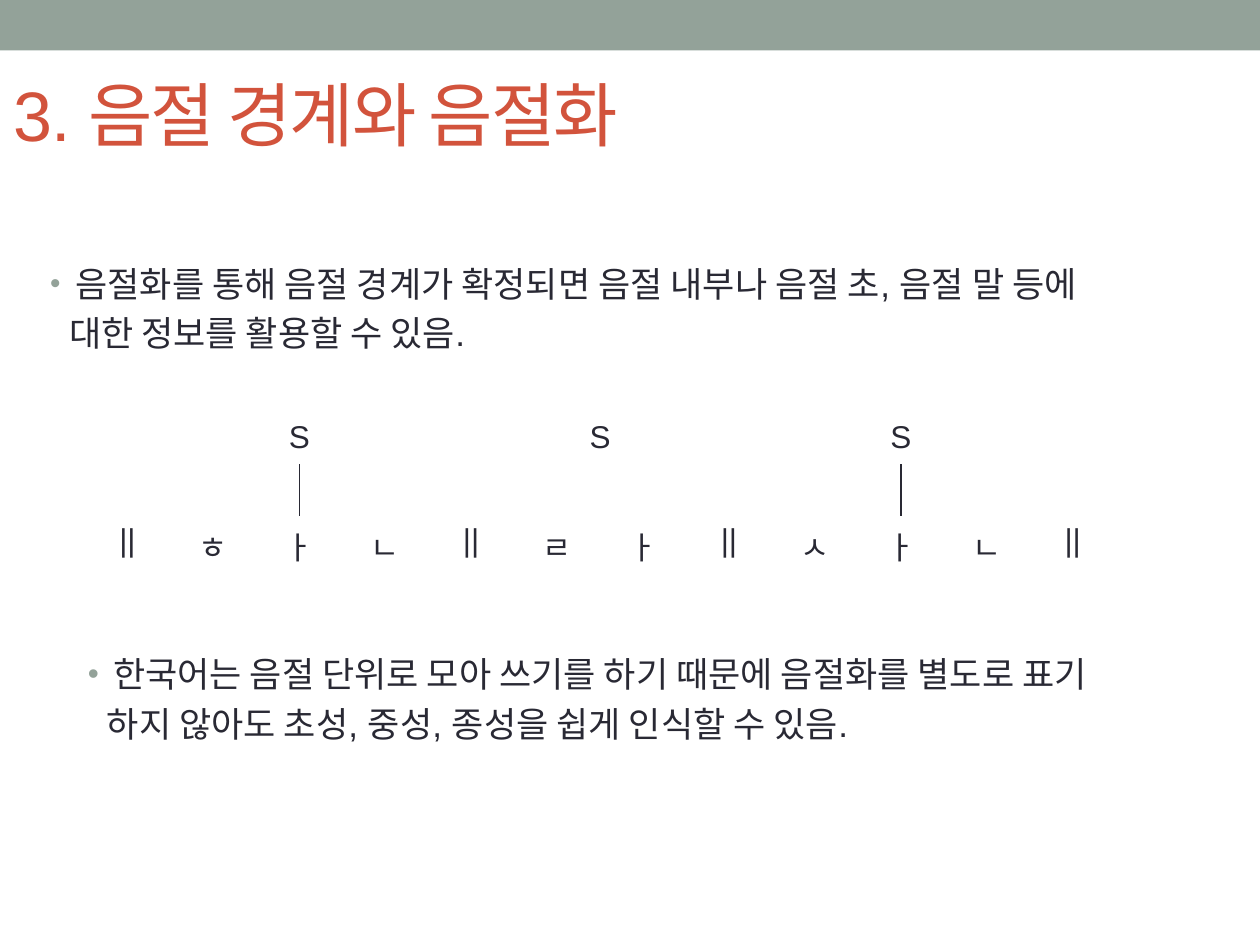
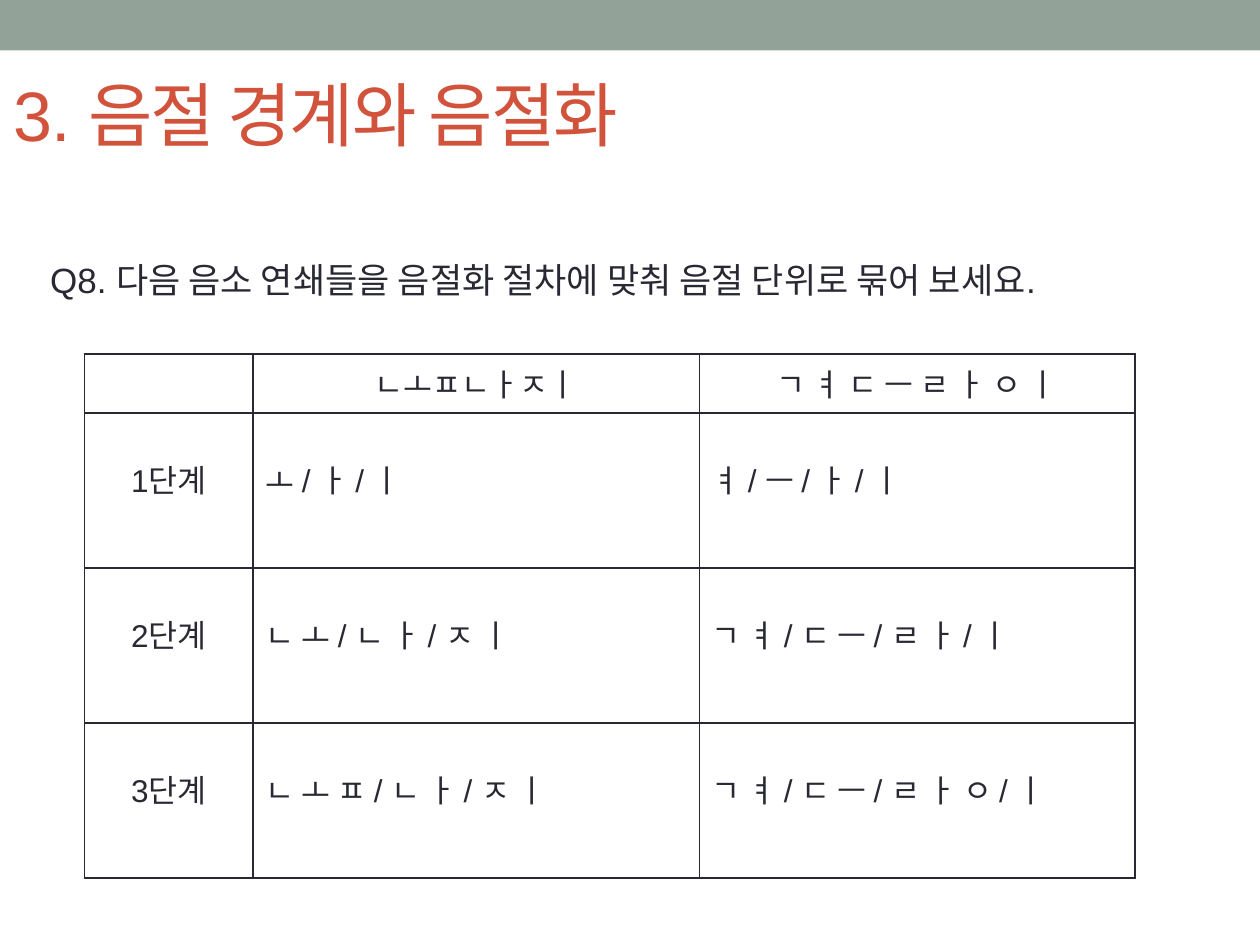
from dataclasses import dataclass

from lxml import etree
from pptx import Presentation
from pptx.dml.color import RGBColor
from pptx.enum.shapes import MSO_SHAPE
from pptx.enum.text import MSO_ANCHOR, MSO_AUTO_SIZE, PP_ALIGN
from pptx.oxml.ns import qn
from pptx.util import Inches, Pt

RECT = MSO_SHAPE.RECTANGLE
MIDDLE = MSO_ANCHOR.MIDDLE
NO_FIT = MSO_AUTO_SIZE.NONE
LEFT, CENTER = PP_ALIGN.LEFT, PP_ALIGN.CENTER

FONT = "Arial"
INK, ACCENT, SAGE = "292934", "D2533C", "93A299"
TITLE = "3. 음절 경계와 음절화"
BODY_SIZE, CELL_SIZE, LINE_PITCH = 20, 18, 28.3


@dataclass
class Line:
    text: str
    margin: float
    bullet_size: int = 0


@dataclass
class Syllable:
    label_col: int
    label_span: int
    stem_col: int = 0


@dataclass
class Phoneme:
    text: str
    span: int = 2


BOUNDARY = Phoneme("||", 1)
PHONEMES = [
    BOUNDARY, Phoneme("ㅎ"), Phoneme("ㅏ"), Phoneme("ㄴ"),
    BOUNDARY, Phoneme("ㄹ"), Phoneme("ㅏ"),
    BOUNDARY, Phoneme("ㅅ"), Phoneme("ㅏ"), Phoneme("ㄴ"), BOUNDARY,
]
SYLLABLES = [Syllable(3, 2, 4), Syllable(8, 4), Syllable(15, 2, 16)]
STEPS = [
    ("", "ㄴㅗㅍㄴㅏㅈㅣ", "ㄱ ㅕ ㄷ ㅡ ㄹ ㅏ ㅇ ㅣ"),
    ("1단계", "ㅗ / ㅏ / ㅣ", "ㅕ / ㅡ / ㅏ / ㅣ"),
    ("2단계", "ㄴ ㅗ / ㄴ ㅏ / ㅈ ㅣ", "ㄱ ㅕ / ㄷ ㅡ / ㄹ ㅏ / ㅣ"),
    ("3단계", "ㄴ ㅗ ㅍ / ㄴ ㅏ / ㅈ ㅣ", "ㄱ ㅕ / ㄷ ㅡ / ㄹ ㅏ ㅇ / ㅣ"),
]


def rgb(value: str) -> RGBColor:
    return RGBColor.from_string(value)


def add_run(p, text: str, size: float, color: str = INK):
    r = p.add_run()
    r.text = text
    r.font.name = FONT
    r.font.size = Pt(size)
    r.font.color.rgb = rgb(color)
    return r


def add_titled_slide(prs):
    s = prs.slides.add_slide(prs.slide_layouts[5])
    band = s.shapes.add_shape(RECT, 0, 0, prs.slide_width, Inches(0.4))
    band.shadow.inherit = False
    band.fill.solid()
    band.fill.fore_color.rgb = rgb(SAGE)
    band.line.fill.background()

    title = s.shapes.title
    title.left, title.top = Inches(0.01), Inches(0.36)
    title.width, title.height = Inches(9), Inches(1.08)
    tf = title.text_frame
    tf.auto_size = NO_FIT
    tf.vertical_anchor = MIDDLE
    p = tf.paragraphs[0]
    p.alignment = LEFT
    r = add_run(p, TITLE, 40, ACCENT)
    r.font._element.set("spc", "-100")
    return s


def set_indent(p, line: Line) -> None:
    hang = Inches(0.2) if line.bullet_size else 0
    pPr = p._p.get_or_add_pPr()
    pPr.set("marL", str(Inches(line.margin)))
    pPr.set("indent", str(-hang))
    if line.bullet_size:
        color = etree.SubElement(pPr, qn("a:buClr"))
        etree.SubElement(color, qn("a:srgbClr"), val=SAGE)
        etree.SubElement(pPr, qn("a:buSzPct"), val=str(line.bullet_size * 1000))
        etree.SubElement(pPr, qn("a:buFont"), typeface=FONT)
        etree.SubElement(pPr, qn("a:buChar"), char="•")


def add_body(s, top: float, lines: list[Line]) -> None:
    height = len(lines) * LINE_PITCH / 72
    sp = s.shapes.add_textbox(0, Inches(top), Inches(10), Inches(height))
    tf = sp.text_frame
    tf.word_wrap = True
    tf.margin_top = tf.margin_bottom = 0
    for i, line in enumerate(lines):
        p = tf.add_paragraph() if i else tf.paragraphs[0]
        p.line_spacing = Pt(LINE_PITCH)
        set_indent(p, line)
        add_run(p, line.text, BODY_SIZE)


def add_plain_table(s, left: float, top: float, cols: list[float], rows: list[float]):
    frame = s.shapes.add_table(len(rows), len(cols), Inches(left), Inches(top),
                               Inches(sum(cols)), Inches(sum(rows)))
    table = frame.table
    table.first_row = table.horz_banding = False
    for column, width in zip(table.columns, cols):
        column.width = Inches(width)
    for row, height in zip(table.rows, rows):
        row.height = Inches(height)
    return table


def style_cell(cell, sides: str = "") -> None:
    tcPr = cell._tc.get_or_add_tcPr()
    for side in sides:
        ln = etree.SubElement(tcPr, qn(f"a:ln{side}"), w=str(Pt(1)))
        fill = etree.SubElement(ln, qn("a:solidFill"))
        etree.SubElement(fill, qn("a:srgbClr"), val=INK)
    cell.fill.background()


def write_cell(cell, text: str, align=CENTER) -> None:
    p = cell.text_frame.paragraphs[0]
    p.alignment = align
    add_run(p, text, CELL_SIZE)


def write_span(table, row: int, col: int, span: int, text: str) -> None:
    cell = table.cell(row, col)
    if span > 1:
        cell.merge(table.cell(row, col + span - 1))
    write_cell(cell, text)


def add_syllable_diagram(s) -> None:
    unit = 8.19 / 24
    cols = [w for ph in PHONEMES for w in ([unit] * 2 if ph.span == 2 else [unit * 2])]
    table = add_plain_table(s, 0.67, 3.28, cols, [0.41] * 3)
    stems = {}
    for syl in SYLLABLES:
        if syl.stem_col:
            stems[1, syl.stem_col - 1] = "R"
            stems[1, syl.stem_col] = "L"
    for row in range(3):
        for col in range(len(cols)):
            style_cell(table.cell(row, col), stems.get((row, col), ""))
    for syl in SYLLABLES:
        write_span(table, 0, syl.label_col, syl.label_span, "S")
    col = 0
    for ph in PHONEMES:
        write_span(table, 2, col, ph.span, ph.text)
        col += ph.span


def add_step_table(s) -> None:
    table = add_plain_table(s, 0.67, 2.81, [1.34, 3.54, 3.46], [0.47] + [1.23] * 3)
    for i, step in enumerate(STEPS):
        for j, text in enumerate(step):
            cell = table.cell(i, j)
            style_cell(cell, "LRTB")
            if i:
                cell.margin_top = Inches(0.34)
            if text:
                write_cell(cell, text, LEFT if i and j else CENTER)


def main() -> None:
    prs = Presentation()
    prs.slide_width, prs.slide_height = Inches(10), Inches(7.5)

    s = add_titled_slide(prs)
    add_body(s, 2.02, [
        Line("음절화를 통해 음절 경계가 확정되면 음절 내부나 음절 초, 음절 말 등에", 0.5, 85),
        Line("대한 정보를 활용할 수 있음.", 0.45),
    ])
    add_syllable_diagram(s)
    add_body(s, 5.12, [
        Line("한국어는 음절 단위로 모아 쓰기를 하기 때문에 음절화를 별도로 표기", 0.8, 90),
        Line("하지 않아도 초성, 중성, 종성을 쉽게 인식할 수 있음.", 0.75),
    ])

    s = add_titled_slide(prs)
    add_body(s, 1.99, [
        Line("Q8. 다음 음소 연쇄들을 음절화 절차에 맞춰 음절 단위로 묶어 보세요.", 0.3),
    ])
    add_step_table(s)

    prs.save("out.pptx")


if __name__ == "__main__":
    main()
